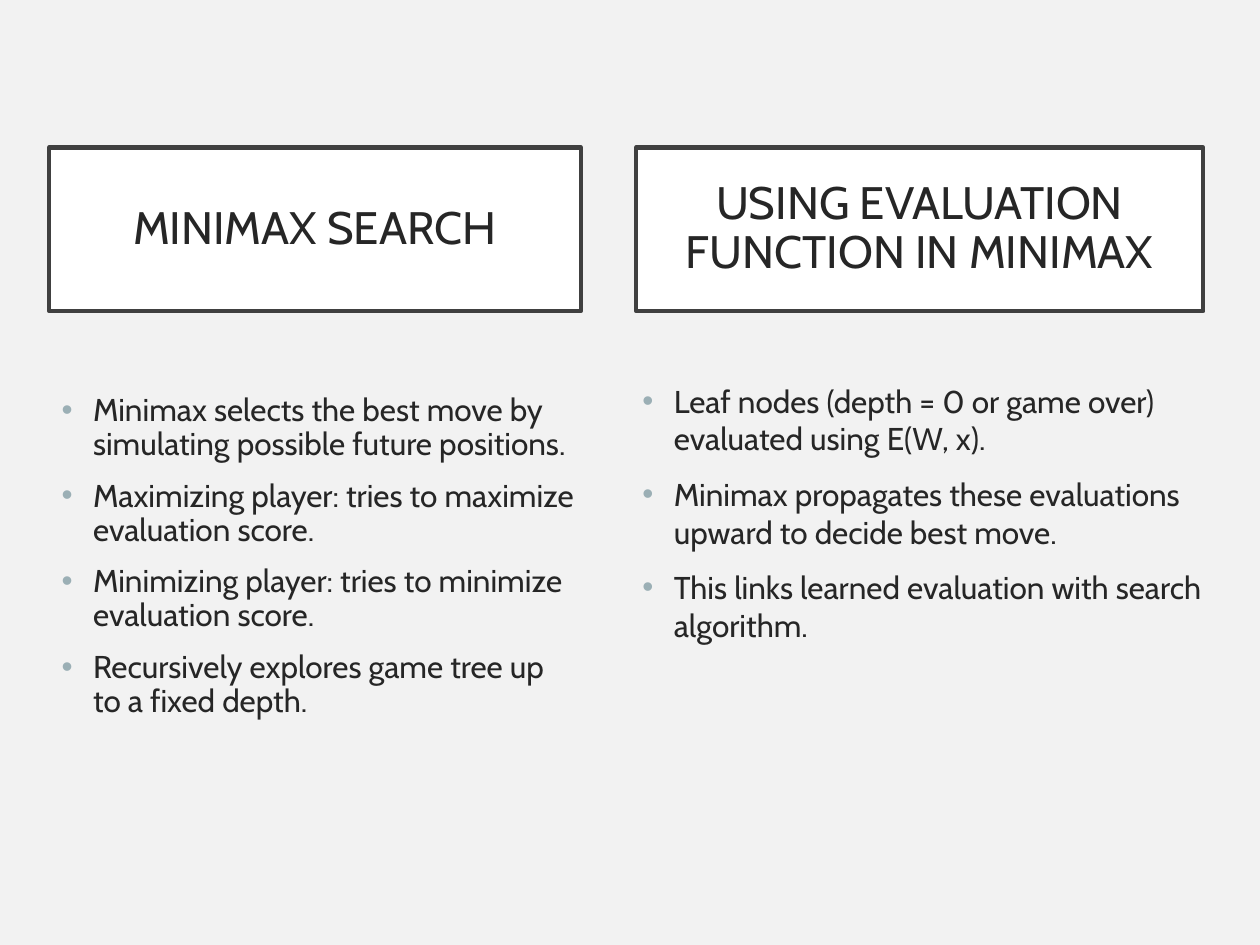
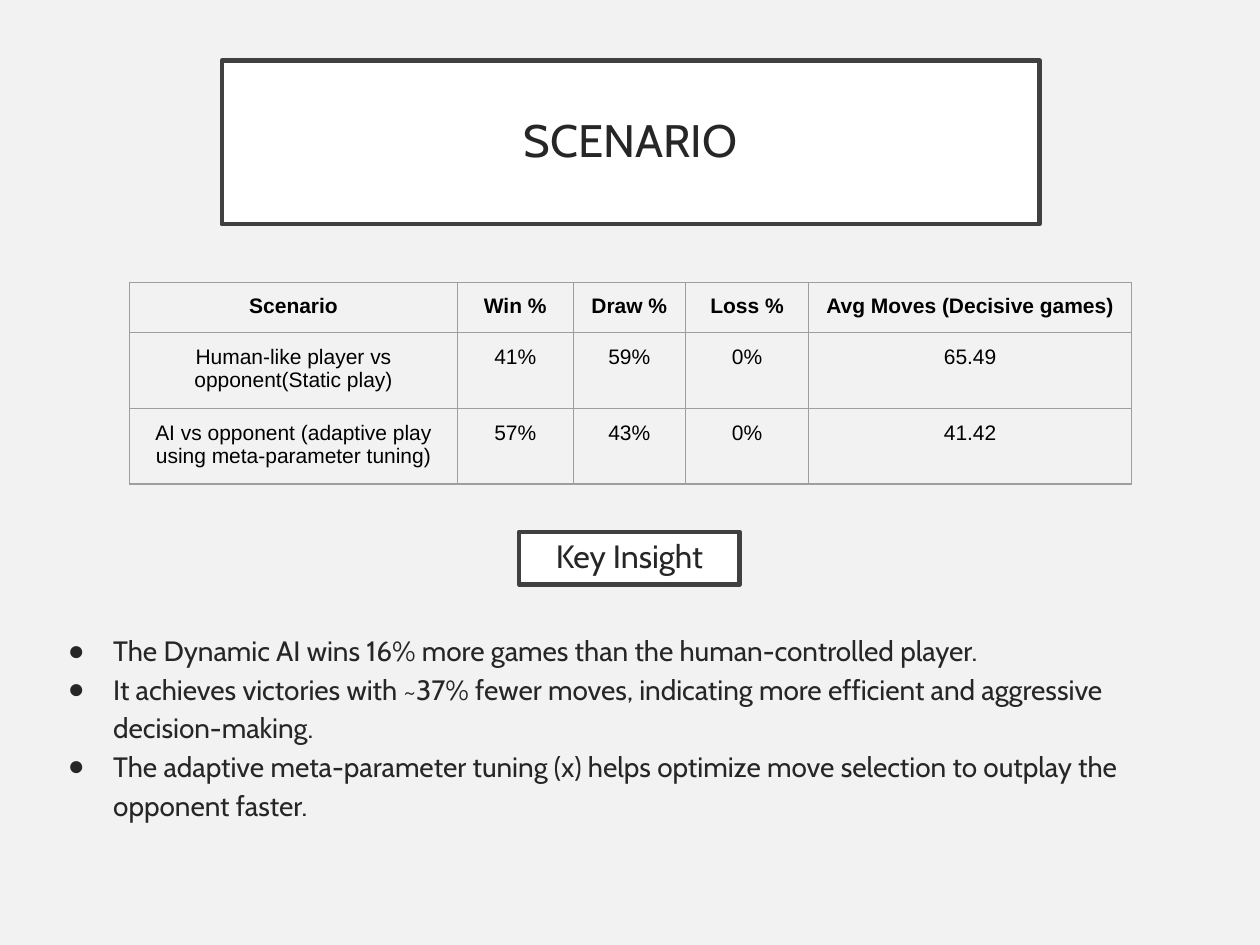
from lxml.etree import SubElement
from pptx import Presentation
from pptx.dml.color import RGBColor
from pptx.enum.shapes import MSO_SHAPE
from pptx.enum.text import MSO_ANCHOR as ANCHOR, PP_ALIGN as ALIGN
from pptx.oxml.ns import qn
from pptx.util import Inches, Pt

# Content; boxes are (left, top, width, height) in percent of the slide
SEARCH_COLUMNS = [
    {
        "title": "MINIMAX SEARCH",
        "title_box": (3.9, 15.6, 42.2, 17.33),
        "body_box": (3.9, 41.07, 42.9, 37.47),
        "line_spacing": 0.9,
        "points": [
            "Minimax selects the best move by simulating possible future positions.",
            "Maximizing player: tries to maximize evaluation score.",
            "Minimizing player: tries to minimize evaluation score.",
            "Recursively explores game tree up to a fixed depth.",
        ],
    },
    {
        "title": "USING EVALUATION FUNCTION IN MINIMAX",
        "title_box": (50.5, 15.6, 45, 17.33),
        "body_box": (50, 39.73, 48.7, 40.13),
        "line_spacing": 1.0,
        "points": [
            "Leaf nodes (depth = 0 or game over) evaluated using E(W, x).",
            "Minimax propagates these evaluations upward to decide best move.",
            "This links learned evaluation with search algorithm.",
        ],
    },
]

SCENARIO_TITLE = ("SCENARIO", (17.6, 6.4, 64.9, 17.33))
RESULTS = [
    ("Scenario", "Win %", "Draw %", "Loss %", "Avg Moves (Decisive games)"),
    ("Human-like player vs opponent(Static play)", "41%", "59%", "0%", "65.49"),
    ("AI vs opponent (adaptive play using meta-parameter tuning)",
     "57%", "43%", "0%", "41.42"),
]
RESULTS_CORNER = (10.3, 29.87)
COLUMN_WIDTHS = (26, 9.2, 8.9, 9.8, 25.6)
ROW_HEIGHTS = (5.07, 7.62, 7.62)
INSIGHT_TITLE = ("Key Insight", (41.2, 56.27, 17.5, 5.6))
INSIGHT_BOX = (3, 65.2, 94.1, 31.87)
INSIGHTS = [
    "The Dynamic AI wins 16% more games than the human-controlled player.",
    "It achieves victories with ~37% fewer moves, indicating more efficient "
    "and aggressive decision-making.",
    "The adaptive meta-parameter tuning (x) helps optimize move selection "
    "to outplay the opponent faster.",
]

# Shared look
PAGE, PANEL, FRAME, INK = "F2F2F2", "FFFFFF", "404040", "262626"
ACCENT, BLACK, GRID = "9BAFB5", "000000", "9E9E9E"
SEARCH_BULLETS = {"char": "•", "color": ACCENT, "indent": 0.25, "hang": 0.25}
INSIGHT_BULLETS = {"char": "●", "color": INK, "indent": 0.5, "hang": 0.36}

prs = Presentation()
prs.slide_width, prs.slide_height = Inches(10), Inches(7.5)


def rgb(value):
    return RGBColor.from_string(value)


def across(share):
    return int(prs.slide_width * share / 100)


def down(share):
    return int(prs.slide_height * share / 100)


def place(box):
    left, top, width, height = box
    return across(left), down(top), across(width), down(height)


def set_all(target, **values):
    for name, value in values.items():
        setattr(target, name, value)


def set_margins(target, x, y):
    set_all(target, margin_left=Inches(x), margin_right=Inches(x),
            margin_top=Inches(y), margin_bottom=Inches(y))


def write(p, text, size, font="Cabin", color=INK, bold=False):
    r = p.add_run()
    r.text = text
    set_all(r.font, name=font, size=Pt(size), bold=bold)
    r.font.color.rgb = rgb(color)


def add_slide():
    s = prs.slides.add_slide(prs.slide_layouts[6])
    s.background.fill.solid()
    s.background.fill.fore_color.rgb = rgb(PAGE)
    return s


def add_title(s, text, box, size=26):
    sp = s.shapes.add_shape(MSO_SHAPE.RECTANGLE, *place(box))
    sp.shadow.inherit = False
    sp.fill.solid()
    sp.fill.fore_color.rgb = rgb(PANEL)
    sp.line.color.rgb = rgb(FRAME)
    sp.line.width = Pt(2.5)
    tf = sp.text_frame
    set_all(tf, word_wrap=True, vertical_anchor=ANCHOR.MIDDLE)
    set_margins(tf, 0.2, 0.2)
    p = tf.paragraphs[0]
    set_all(p, alignment=ALIGN.CENTER, line_spacing=0.9)
    write(p, text, size)


def add_bullet(p, char, color, indent, hang):
    pPr = p._p.get_or_add_pPr()
    pPr.set("marL", str(Inches(indent)))
    pPr.set("indent", str(-Inches(hang)))
    SubElement(SubElement(pPr, qn("a:buClr")), qn("a:srgbClr"), val=color)
    SubElement(pPr, qn("a:buFont"), typeface="Arial")
    SubElement(pPr, qn("a:buChar"), char=char)


def add_points(s, points, box, bullets, size, line_spacing, gap=0, inset_y=0.05):
    tf = s.shapes.add_textbox(*place(box)).text_frame
    tf.word_wrap = True
    set_margins(tf, 0.1, inset_y)
    for i, point in enumerate(points):
        p = tf.add_paragraph() if i else tf.paragraphs[0]
        set_all(p, line_spacing=line_spacing, space_before=Pt(gap if i else 0))
        add_bullet(p, **bullets)
        write(p, point, size)


def add_borders(cell):
    tcPr = cell._tc.get_or_add_tcPr()
    for side in ("lnL", "lnR", "lnT", "lnB"):
        line = SubElement(tcPr, qn(f"a:{side}"), w=str(Pt(0.75)))
        fill = SubElement(line, qn("a:solidFill"))
        SubElement(fill, qn("a:srgbClr"), val=GRID)


def add_results(s):
    box = (*RESULTS_CORNER, sum(COLUMN_WIDTHS), sum(ROW_HEIGHTS))
    table = s.shapes.add_table(len(RESULTS), len(COLUMN_WIDTHS), *place(box)).table
    set_all(table, first_row=False, horz_banding=False)
    for column, width in zip(table.columns, COLUMN_WIDTHS):
        column.width = across(width)
    for i, (row, height) in enumerate(zip(table.rows, ROW_HEIGHTS)):
        row.height = down(height)
        for cell, text in zip(row.cells, RESULTS[i]):
            add_borders(cell)
            cell.fill.background()
            set_margins(cell, 0.1, 0.1)
            p = cell.text_frame.paragraphs[0]
            p.alignment = ALIGN.CENTER
            write(p, text, 12, "Arial", BLACK, bold=i == 0)


def main():
    s = add_slide()
    for column in SEARCH_COLUMNS:
        add_title(s, column["title"], column["title_box"])
        add_points(s, column["points"], column["body_box"], SEARCH_BULLETS,
                   18, column["line_spacing"], gap=10)

    s = add_slide()
    add_title(s, *SCENARIO_TITLE)
    add_results(s)
    add_points(s, INSIGHTS, INSIGHT_BOX, INSIGHT_BULLETS, 16, 1.15, inset_y=0.1)
    add_title(s, *INSIGHT_TITLE, size=18.4)
    prs.save("out.pptx")


if __name__ == "__main__":
    main()
